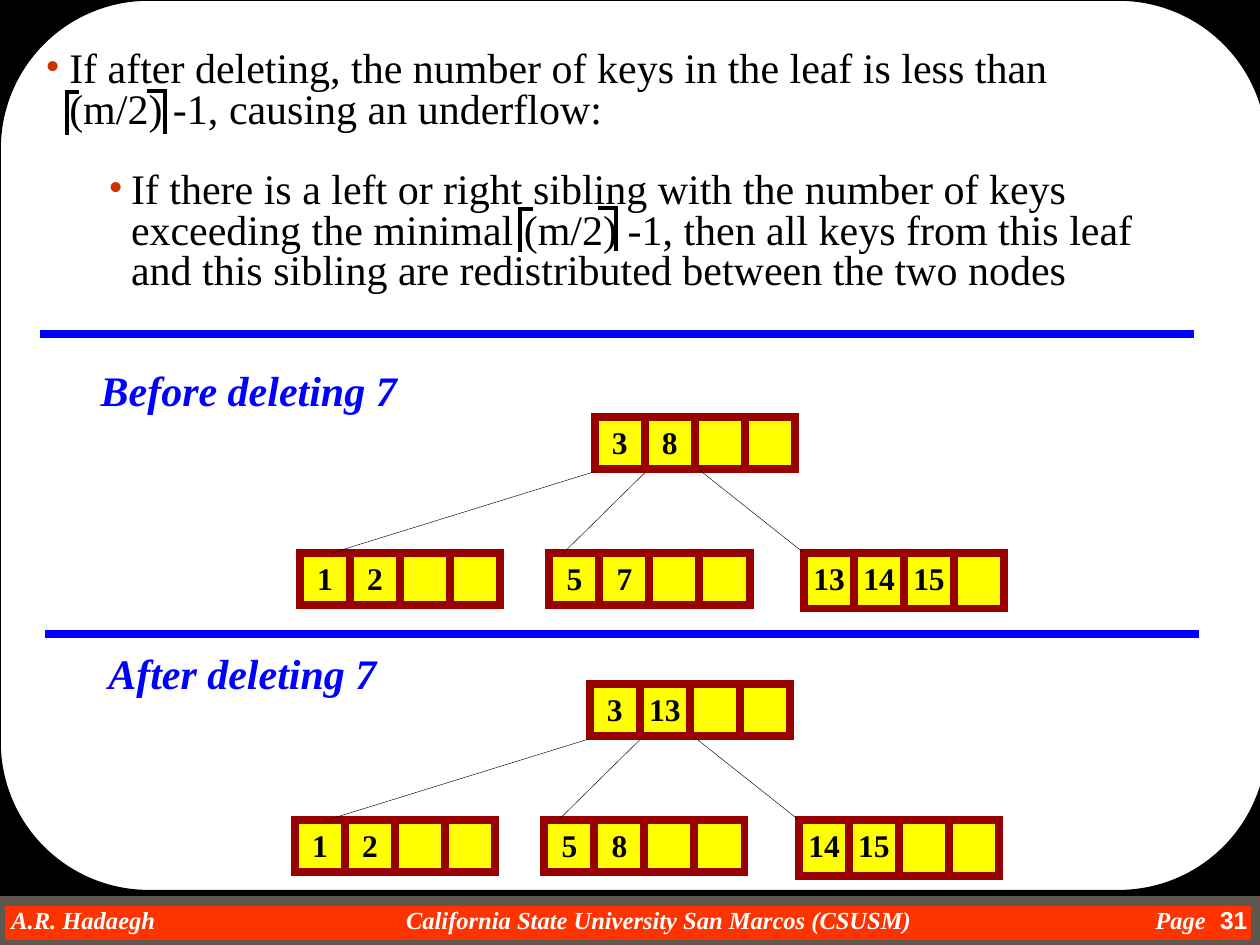
"""Build the slide on redistributing keys after deleting 7 from a B-tree leaf."""
import dataclasses

import lxml.etree
import pptx
import pptx.dml.color
import pptx.enum.shapes
import pptx.enum.text
import pptx.oxml.ns
import pptx.util


@dataclasses.dataclass(frozen=True)
class Theme:
    serif: str = "Times New Roman"
    sans: str = "Arial"
    ink: str = "000000"
    paper: str = "FFFFFF"
    accent: str = "0000FF"
    bullet: str = "CC3300"
    cell: str = "FFFF00"
    cell_edge: str = "990000"
    bar: str = "FF3300"
    bar_edge: str = "5E574E"
    body_size: int = 24
    key_size: int = 18
    footer_size: int = 14


theme = Theme()
inch = pptx.util.Inches
rgb = pptx.dml.color.RGBColor.from_string
qn = pptx.oxml.ns.qn
align = pptx.enum.text.PP_ALIGN
shapes_enum = pptx.enum.shapes.MSO_SHAPE
straight = pptx.enum.shapes.MSO_CONNECTOR.STRAIGHT


def paint(shape, edge, weight, fill=None):
    shape.line.color.rgb = rgb(edge)
    shape.line.width = pptx.util.Pt(weight)
    lxml.etree.SubElement(shape.line._get_or_add_ln(), qn("a:miter"), lim="800000")
    if fill:
        shape.fill.solid()
        shape.fill.fore_color.rgb = rgb(fill)
    lxml.etree.SubElement(shape._element.spPr, qn("a:effectLst"))


def write(paragraph, words, size, color, bold=False, italic=False, font=theme.serif):
    run = paragraph.add_run()
    run.text = words
    run.font.name = font
    run.font.size = pptx.util.Pt(size)
    run.font.color.rgb = rgb(color)
    run.font.bold = bold
    run.font.italic = italic


deck = pptx.Presentation()
deck.slide_width, deck.slide_height = inch(10), inch(7.5)
slide = deck.slides.add_slide(deck.slide_layouts[1])
shapes = slide.shapes
title = shapes.title._element
title.getparent().remove(title)
slide.background.fill.solid()
slide.background.fill.fore_color.rgb = rgb(theme.ink)

footer_bar = shapes.add_shape(shapes_enum.RECTANGLE, 0, inch(7.15), inch(9.97), inch(0.35))
paint(footer_bar, theme.bar_edge, 6, theme.bar)
page = shapes.add_shape(shapes_enum.ROUNDED_RECTANGLE, 0, 0, inch(10.06), inch(7.07))
page.adjustments[0] = 0.167
paint(page, theme.ink, 1, theme.paper)

footers = [
    (0.09, 2, "A.R. Hadaegh", align.LEFT, theme.serif, True),
    (2.73, 5, "California State University San Marcos (CSUSM)", align.CENTER, theme.serif, True),
    (8.57, 1, "Page", align.RIGHT, theme.serif, True),
    (9.4, 0.5, "31", align.RIGHT, theme.sans, False),
]
for left, width, words, side, font, italic in footers:
    footer = shapes.add_textbox(inch(left), inch(7.18), inch(width), inch(0.23)).text_frame
    footer.margin_left = footer.margin_right = footer.margin_top = footer.margin_bottom = 0
    footer.word_wrap = True
    footer.paragraphs[0].alignment = side
    write(footer.paragraphs[0], words, theme.footer_size, theme.paper, True, italic, font)

body = slide.placeholders[1]
page._element.addnext(body._element)
body.left, body.top, body.width, body.height = inch(0.26), inch(0.36), inch(9.09), inch(2.02)
rules = body.text_frame
rules.auto_size = pptx.enum.text.MSO_AUTO_SIZE.NONE
rules.vertical_anchor = pptx.enum.text.MSO_ANCHOR.TOP
points = [
    (0, 0.19, -0.19, 0, "If after deleting, the number of keys in the leaf is less than "),
    (0, 0.19, 0, 0, "(m/2) -1, causing an underflow:"),
    (1, 0.68, -0.18, 23, "If there is a left or right sibling with the number of keys exceeding the "
     "minimal (m/2) -1, then all keys from this leaf and this sibling are redistributed "
     "between the two nodes"),
]
for index, (level, margin, hanging, gap, words) in enumerate(points):
    point = rules.add_paragraph() if index else rules.paragraphs[0]
    point.level = level
    point.alignment = align.LEFT
    point.line_spacing = 0.8
    point.space_before, point.space_after = pptx.util.Pt(gap), pptx.util.Pt(0)
    props = point._p.get_or_add_pPr()
    props.set("marL", str(inch(margin)))
    props.set("indent", str(inch(hanging)))
    if hanging:
        color = lxml.etree.SubElement(props, qn("a:buClr"))
        lxml.etree.SubElement(color, qn("a:srgbClr"), val=theme.bullet)
        lxml.etree.SubElement(props, qn("a:buFont"), typeface=theme.serif)
        lxml.etree.SubElement(props, qn("a:buChar"), char="\u2022")
    else:
        lxml.etree.SubElement(props, qn("a:buNone"))
    write(point, words, theme.body_size, theme.ink)

for left, right, top in [(0.53, 1.31, 0.73), (4.13, 4.89, 1.66)]:
    for stem, arm, cap in [(left, 0.1, top), (right, -0.14, top - 0.01)]:
        outline = shapes.build_freeform(inch(stem), inch(cap + 0.34))
        outline.add_line_segments(
            [(inch(stem), inch(cap)), (inch(stem + arm), inch(cap))], close=False)
        ceiling = outline.convert_to_shape()
        ceiling.fill.background()
        paint(ceiling, theme.ink, 2.25)

for left, top in [(0.32, 2.65), (0.36, 5.03)]:
    divider = shapes.add_connector(straight, inch(left), inch(top), inch(left + 9.16), inch(top))
    paint(divider, theme.accent, 4.5)

column = 1.19 / 3
nodes = [(4.72, 0, 0.41), (2.38, 1.08, 0.41), (4.36, 1.08, 0.41), (6.38, 1.08, 0.44)]
links = [(4.73, 0.43, 2.63, 1.08), (5.12, 0.44, 4.47, 1.08), (5.55, 0.42, 6.37, 1.07)]
stages = [
    ("Before deleting 7", 0.7, 2.84, 2.55, 0, 3.31, ["3 8", "1 2", "5 7", "13 14 15"]),
    ("After deleting 7", 0.76, 5.09, 2.33, -0.04, 5.43, ["3 13", "1 2", "5 8", "14 15"]),
]
for heading, left, top, width, shift, root_top, tree in stages:
    caption = shapes.add_textbox(inch(left), inch(top), inch(width), inch(0.5)).text_frame
    caption.word_wrap = False
    caption.paragraphs[0].alignment = align.CENTER
    write(caption.paragraphs[0], heading, theme.body_size, theme.accent, True, True)

    for (node_left, drop, height), keys in zip(nodes, tree):
        slots = keys.split() + [""] * 4
        for slot, key in enumerate(slots[:4]):
            cell = shapes.add_shape(shapes_enum.RECTANGLE,
                                    inch(node_left + shift + slot * column),
                                    inch(root_top + drop), inch(0.4), inch(height))
            paint(cell, theme.cell_edge, 4.5, theme.cell)
            if key:
                label = cell.text_frame
                label.margin_left = label.margin_right = label.margin_bottom = 0
                label.margin_top = inch(0.05)
                label.word_wrap = False
                label.vertical_anchor = pptx.enum.text.MSO_ANCHOR.TOP
                label.paragraphs[0].alignment = align.CENTER
                write(label.paragraphs[0], key, theme.key_size, theme.ink, True)

    for x1, y1, x2, y2 in links:
        link = shapes.add_connector(straight, inch(x1 + shift), inch(root_top + y1),
                                    inch(x2 + shift), inch(root_top + y2))
        paint(link, theme.ink, 0.25)

deck.save("out.pptx")
